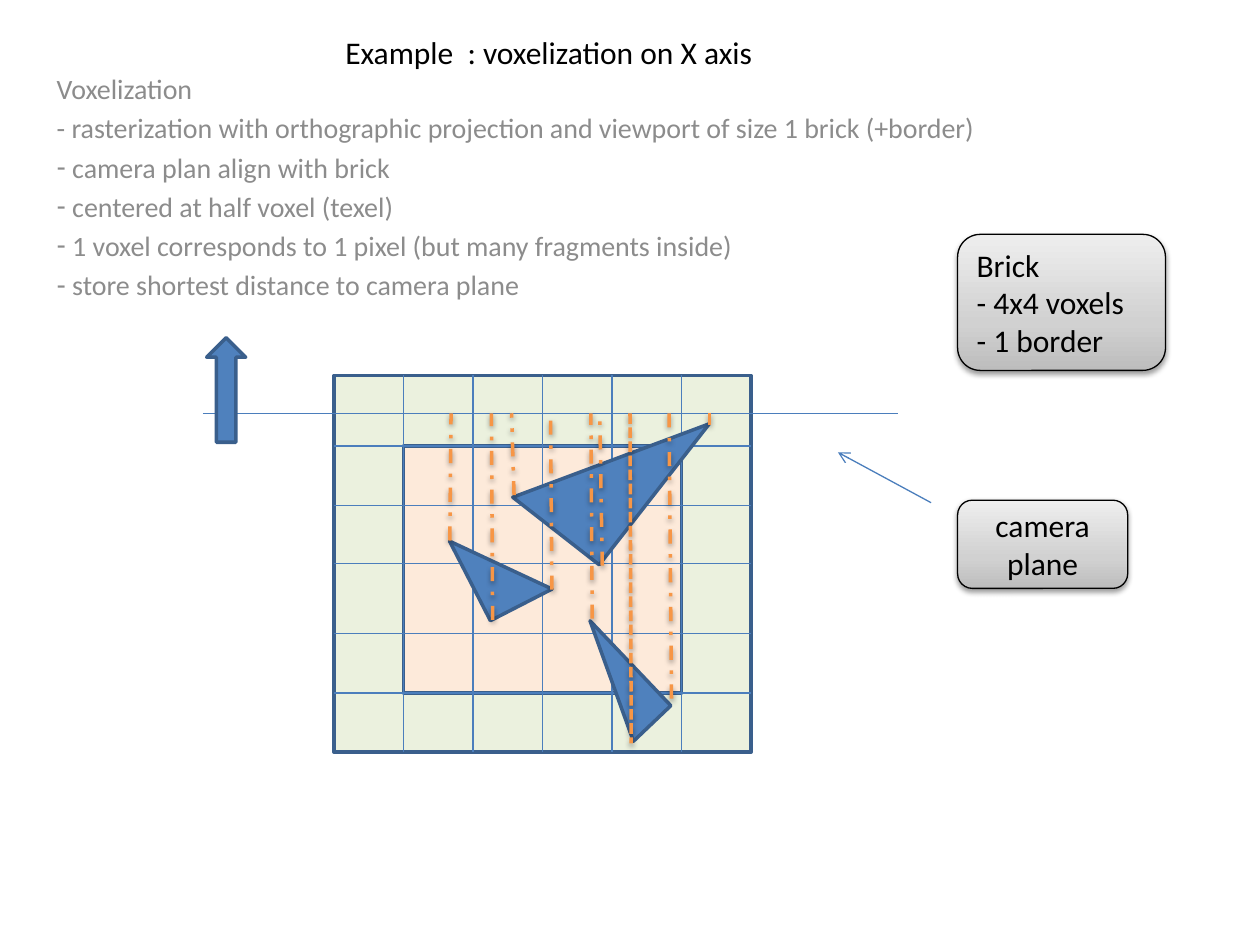
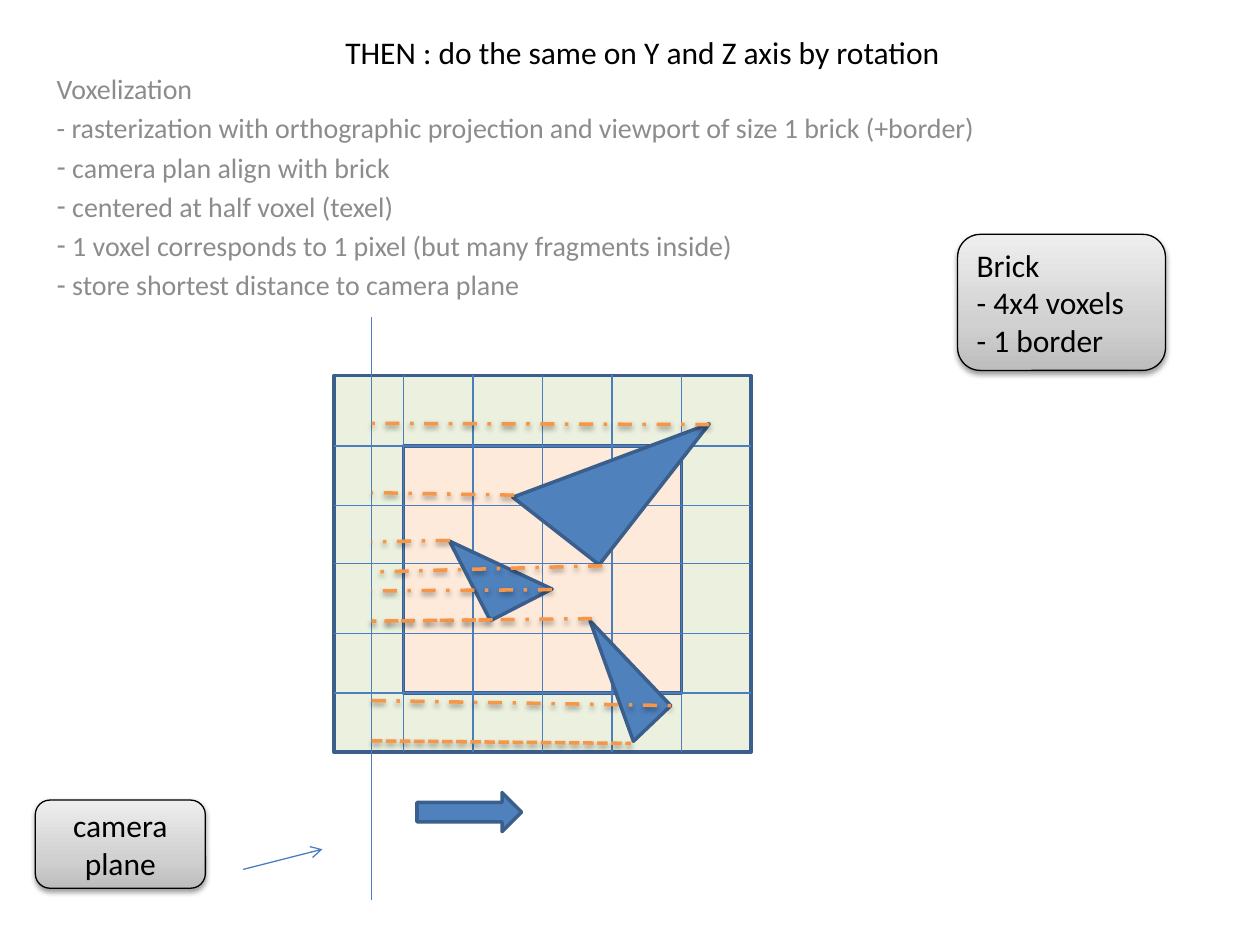
from copy import deepcopy
from dataclasses import dataclass
from itertools import accumulate

from pptx import Presentation
from pptx.dml.color import RGBColor
from pptx.enum.dml import MSO_LINE
from pptx.enum.shapes import MSO_CONNECTOR, MSO_SHAPE
from pptx.enum.text import MSO_ANCHOR, MSO_AUTO_SIZE, PP_ALIGN
from pptx.oxml import parse_xml
from pptx.oxml.ns import nsdecls, qn
from pptx.util import Inches, Pt

# The slide is a grid of 100 columns by 75 rows; all places are in its cells
COLUMNS, ROWS = 100, 75


@dataclass(frozen=True)
class Theme:
    font: str = "Calibri"
    title_size: int = 18
    list_size: int = 16
    thin: float = 0.75
    thick: float = 2
    ink: str = "000000"
    muted: str = "8C8C8C"
    border: str = "EBF1DE"
    voxels: str = "FDEADA"
    solid: str = "4F81BD"
    outline: str = "3A5F8C"
    grid: str = "4B7EBC"
    ray: str = "F79646"
    label_gradient: tuple = ((0, "BDBDBD"), (0.35, "D1D1D1"), (1, "EEEEEE"))


# Brick: equal columns, rows of measured heights, one border cell all round
BRICK_X = [26.5 + 5.52 * step for step in range(7)]
BRICK_Y = list(accumulate((5.6, 4.7, 4.7, 5.5, 4.7, 4.7), initial=29.8))

# Left, top, width, height, rotation
TRIANGLES = (
    (41.4, 32.2, 14.2, 8.7, 308),
    (37, 41.3, 5.5, 7.1, 332.8),
    (43.9, 52, 9.3, 4.1, 226.4),
)

# Triangle corner, column met on the X plane, row met on the Y plane
RAYS = (
    ((35.7, 42.9), 35.8, 43),
    ((39.1, 49.2), 39, 49.3),
    ((43.8, 46.8), 43.7, 46.9),
    ((40.8, 39.3), 40.6, 39.1),
    ((47, 49.1), 46.9, 49.3),
    ((47.8, 44.9), 47.6, 45.4),
    ((56.3, 33.7), 56.3, 33.6),
)
# These run from the plane to the corner
RETURN_RAYS = (
    ((53.3, 56), 53.1, 55.6, MSO_LINE.DASH_DOT),
    ((50.1, 59), 50, 58.8, MSO_LINE.SQUARE_DOT),
)

METHOD = (
    "Voxelization",
    "- rasterization with orthographic projection and viewport of size 1 brick (+border)",
)
METHOD_BULLETS = (
    " camera plan align with brick",
    " centered at half voxel (texel)",
    " 1 voxel corresponds to 1 pixel (but many fragments inside)",
    " store shortest distance to camera plane",
)
BRICK_FACTS = ("Brick", "- 4x4 voxels", "- 1 border")


def apply_format(target, values):
    for name, value in values.items():
        setattr(target, name, value)


def set_shadow(shape, shadowed):
    shadow = (
        '<a:outerShdw blurRad="39370" dist="20320" dir="5400000" rotWithShape="0">'
        '<a:srgbClr val="000000"><a:alpha val="38000"/></a:srgbClr></a:outerShdw>'
    )
    content = shadow if shadowed else ""
    properties = shape._element.spPr
    properties.append(parse_xml(f'<a:effectLst {nsdecls("a")}>{content}</a:effectLst>'))


class Deck:
    def __init__(self, theme):
        self.theme = theme
        self.presentation = Presentation()
        size = {"slide_width": Inches(10), "slide_height": Inches(7.5)}
        apply_format(self.presentation, size)
        self.slide = None

    def x(self, columns):
        return round(self.presentation.slide_width * columns / COLUMNS)

    def y(self, rows):
        return round(self.presentation.slide_height * rows / ROWS)

    def box(self, left, top, width, height):
        return self.x(left), self.y(top), self.x(width), self.y(height)

    def new_slide(self):
        layout = self.presentation.slide_layouts[0]
        self.slide = self.presentation.slides.add_slide(layout)

    def style_line(self, line, color, width):
        line.color.rgb = RGBColor.from_string(color)
        line.width = Pt(width)

    def add_lines(self, frame, lines, size, color, alignment=PP_ALIGN.LEFT):
        for index, text in enumerate(lines):
            paragraph = frame.paragraphs[0] if index == 0 else frame.add_paragraph()
            paragraph.alignment = alignment
            run = paragraph.add_run()
            run.text = text
            apply_format(run.font, {"name": self.theme.font, "size": Pt(size)})
            run.font.color.rgb = RGBColor.from_string(color)

    def placeholder(self, shape, area, wrap):
        names = ("left", "top", "width", "height")
        apply_format(shape, dict(zip(names, self.box(*area))))
        frame_format = {
            "word_wrap": wrap,
            "auto_size": MSO_AUTO_SIZE.NONE,
            "vertical_anchor": MSO_ANCHOR.TOP,
        }
        apply_format(shape.text_frame, frame_format)
        return shape.text_frame

    def title(self, text, width):
        frame = self.placeholder(self.slide.shapes.title, (26.4, 2.1, width, 4), False)
        self.add_lines(frame, [text], self.theme.title_size, self.theme.ink)

    def bulleted_list(self, plain, bulleted):
        area = (3.5, 5.2, 82.7, 20.5)
        frame = self.placeholder(self.slide.placeholders[1], area, True)
        self.add_lines(frame, plain + bulleted, self.theme.list_size, self.theme.muted)
        for paragraph in frame.paragraphs[len(plain):]:
            properties = paragraph._p.get_or_add_pPr()
            properties.append(parse_xml(f'<a:buFontTx {nsdecls("a")}/>'))
            properties.append(parse_xml(f'<a:buChar {nsdecls("a")} char="-"/>'))

    def solid(self, preset, area, color, rotation=0):
        shape = self.slide.shapes.add_shape(preset, *self.box(*area))
        shape.rotation = rotation
        shape.shadow.inherit = False
        shape.fill.solid()
        shape.fill.fore_color.rgb = RGBColor.from_string(color)
        self.style_line(shape.line, self.theme.outline, self.theme.thick)
        return shape

    def label(self, lines, area, alignment=PP_ALIGN.LEFT):
        preset = MSO_SHAPE.ROUNDED_RECTANGLE
        shape = self.slide.shapes.add_shape(preset, *self.box(*area))
        shape.fill.gradient()
        shape.fill.gradient_angle = 90
        stops = shape._element.spPr.find(".//" + qn("a:gsLst"))
        stops.insert(1, deepcopy(stops[0]))
        for stop, (position, color) in zip(shape.fill.gradient_stops, self.theme.label_gradient):
            stop.position = position
            stop.color.rgb = RGBColor.from_string(color)
        self.style_line(shape.line, self.theme.ink, self.theme.thin)
        set_shadow(shape, True)
        frame_format = {"word_wrap": True, "vertical_anchor": MSO_ANCHOR.MIDDLE}
        apply_format(shape.text_frame, frame_format)
        self.add_lines(shape.text_frame, lines, self.theme.title_size, self.theme.ink, alignment)

    def line(self, start, end, arrow=False):
        return self.connector(start, end, self.theme.grid, self.theme.thin, arrow=arrow)

    def ray(self, start, end, dash=MSO_LINE.DASH_DOT):
        self.connector(start, end, self.theme.ray, self.theme.thick, dash, shadowed=True)

    def connector(self, start, end, color, width, dash=None, shadowed=False, arrow=False):
        connector = self.slide.shapes.add_connector(
            MSO_CONNECTOR.STRAIGHT,
            self.x(start[0]), self.y(start[1]), self.x(end[0]), self.y(end[1]),
        )
        self.style_line(connector.line, color, width)
        if dash is not None:
            connector.line.dash_style = dash
        if arrow:
            line = connector.line._get_or_add_ln()
            line.append(parse_xml(f'<a:tailEnd {nsdecls("a")} type="arrow"/>'))
        set_shadow(connector, shadowed)
        return connector

    def brick(self):
        left, right, top, bottom = BRICK_X[0], BRICK_X[-1], BRICK_Y[0], BRICK_Y[-1]
        outer = (left, top, right - left, bottom - top)
        inner = (BRICK_X[1], BRICK_Y[1], BRICK_X[5] - BRICK_X[1], BRICK_Y[5] - BRICK_Y[1])
        border = self.solid(MSO_SHAPE.RECTANGLE, outer, self.theme.border)
        self.solid(MSO_SHAPE.RECTANGLE, inner, self.theme.voxels)
        rows = [self.line((left, row), (right, row)) for row in BRICK_Y[1:-1]]
        columns = [self.line((column, top), (column, bottom)) for column in BRICK_X[1:-1]]
        # The middle lines meet the border at the middle of its sides
        for middle, first, last in ((rows[2], 1, 3), (columns[2], 0, 2)):
            middle.begin_connect(border, first)
            middle.end_connect(border, last)

    def triangles(self):
        for *area, rotation in TRIANGLES:
            self.solid(MSO_SHAPE.RIGHT_TRIANGLE, area, self.theme.solid, rotation)

    def rays(self, meet_plane):
        for corner, column, row in RAYS:
            self.ray(corner, meet_plane(column, row))
        for corner, column, row, dash in RETURN_RAYS:
            self.ray(meet_plane(column, row), corner, dash)

    def voxelization(self, title, title_width, plane, direction, rotation,
                     meet_plane, camera_label, pointer):
        self.new_slide()
        self.title(title, title_width)
        self.bulleted_list(METHOD, METHOD_BULLETS)
        # Brick, camera plane and its direction
        self.brick()
        self.line(*plane)
        self.solid(MSO_SHAPE.RIGHT_ARROW, (*direction, 8.3, 3.1), self.theme.solid, rotation)
        # Geometry and its distances to the plane
        self.triangles()
        self.rays(meet_plane)
        # Labels
        self.label(["camera plane"], (*camera_label, 13.5, 7), PP_ALIGN.CENTER)
        self.line(*pointer, arrow=True)
        self.label(BRICK_FACTS, (76, 18.6, 16.5, 10.8))


def main():
    deck = Deck(Theme())
    plane_row, plane_column = 32.8, 29.5
    deck.voxelization(
        title="Example  : voxelization on X axis",
        title_width=34.7,
        plane=((16.1, plane_row), (71.3, plane_row)),
        direction=(13.8, 29.4),
        rotation=270,
        meet_plane=lambda column, row: (column, plane_row),
        camera_label=(76, 39.7),
        pointer=((73.9, 39.9), (66.5, 35.9)),
    )
    deck.voxelization(
        title="THEN : do the same on Y and Z axis by rotation",
        title_width=49.8,
        plane=((plane_column, 25.2), (plane_column, 71.4)),
        direction=(33.1, 62.9),
        rotation=0,
        meet_plane=lambda column, row: (plane_column, row),
        camera_label=(2.8, 63.5),
        pointer=((19.3, 69), (25.6, 67.4)),
    )
    deck.presentation.save("out.pptx")


if __name__ == "__main__":
    main()
